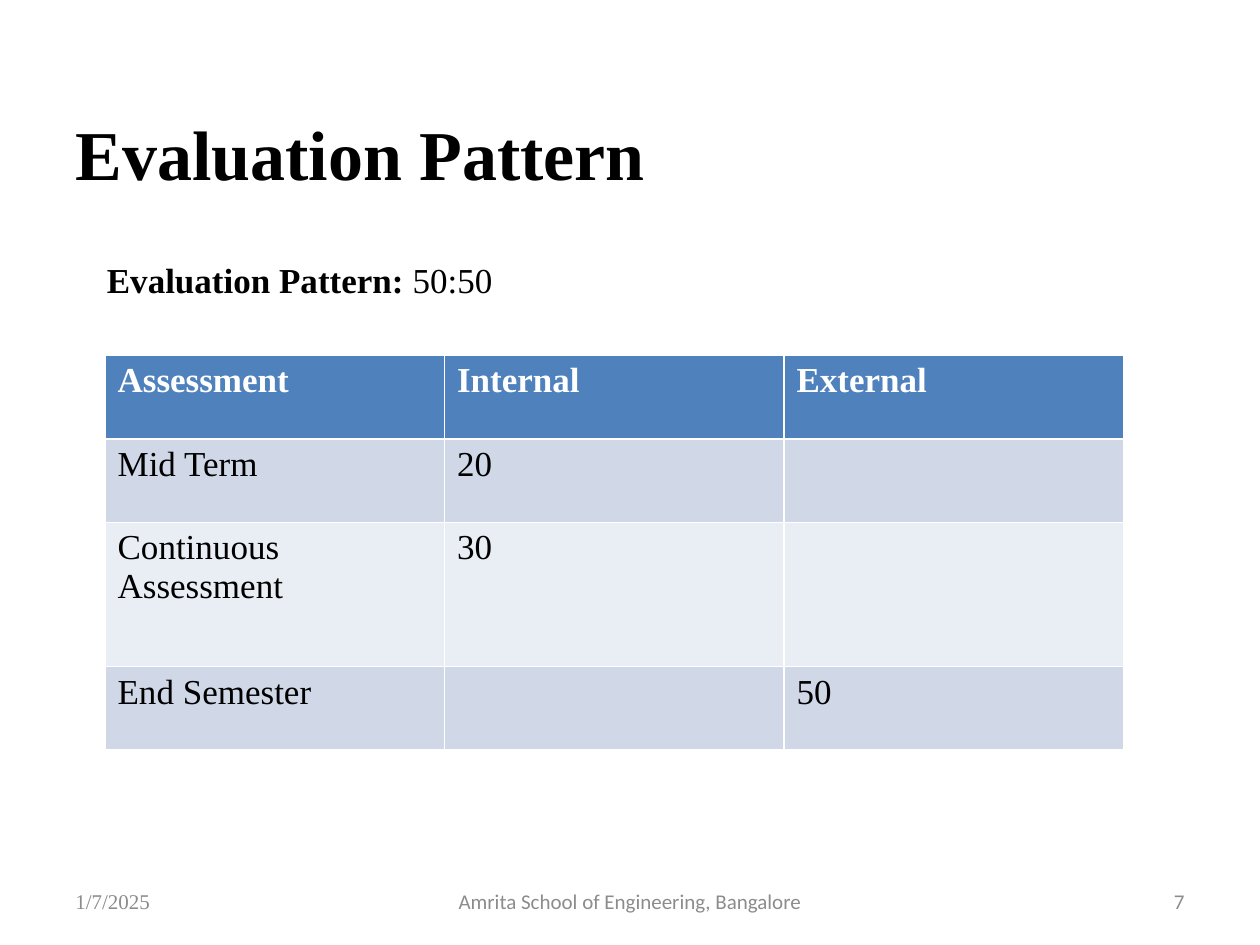
from pptx import Presentation
from pptx import util as u
from pptx.dml.color import RGBColor
from pptx.enum import text

BLACK = RGBColor(0x00, 0x00, 0x00)
WHITE = RGBColor(0xFF, 0xFF, 0xFF)
GRAY = RGBColor(0x8C, 0x8C, 0x8C)
BLUE = RGBColor(0x4F, 0x81, 0xBD)
BANDS = RGBColor(0xD0, 0xD8, 0xE8), RGBColor(0xE9, 0xED, 0xF4)
SERIF, SANS = "Times New Roman", "Calibri"
LEFT, CENTER, RIGHT = (text.PP_ALIGN.LEFT, text.PP_ALIGN.CENTER,
                       text.PP_ALIGN.RIGHT)


def write(para, words, size=20, face=SERIF, color=BLACK, bold=False,
          align=LEFT):
    """Add one formatted run to a paragraph."""
    para.alignment = align
    run = para.add_run()
    run.text = words
    font = run.font
    font.size, font.name, font.bold = u.Pt(size), face, bold
    font.color.rgb = color


class Page:
    def __init__(self, deck):
        self.slide = deck.slides.add_slide(deck.slide_layouts[5])

    def title(self, words, left, top, width, height):
        shape = self.slide.shapes.title
        shape.left, shape.top = u.Pt(left), u.Pt(top)
        shape.width, shape.height = u.Pt(width), u.Pt(height)
        shape.text_frame.vertical_anchor = text.MSO_ANCHOR.MIDDLE
        write(shape.text_frame.paragraphs[0], words, size=40, bold=True)

    def label(self, left, top, width, height):
        """Add a wrapping text box and return its frame."""
        box = self.slide.shapes.add_textbox(
            u.Pt(left), u.Pt(top), u.Pt(width), u.Pt(height))
        box.text_frame.word_wrap = True
        return box.text_frame

    def footer(self, words, left, width, **form):
        frame = self.label(left, 500.5, width, 28.75)
        frame.vertical_anchor = text.MSO_ANCHOR.MIDDLE
        write(frame.paragraphs[0], words, size=12, color=GRAY, **form)

    def table(self, rows, heights, left, top, width):
        grid = self.slide.shapes.add_table(
            len(rows), len(rows[0]), u.Pt(left), u.Pt(top),
            u.Pt(width), u.Pt(sum(heights))).table
        for i, (row, height) in enumerate(zip(rows, heights)):
            head = i == 0
            grid.rows[i].height = u.Pt(height)
            for j, words in enumerate(row):
                cell = grid.cell(i, j)
                cell.fill.solid()
                cell.fill.fore_color.rgb = BLUE if head else BANDS[(i - 1) % 2]
                if words:
                    write(cell.text_frame.paragraphs[0], words, bold=head,
                          color=WHITE if head else BLACK)


def main():
    deck = Presentation()
    deck.slide_width, deck.slide_height = u.Pt(720), u.Pt(540)
    page = Page(deck)
    page.title("Evaluation Pattern", 36, 42, 648, 90)

    page.footer("1/7/2025", 36, 168)
    page.footer("Amrita School of Engineering, Bangalore", 246, 228,
                face=SANS, align=CENTER)
    page.footer("7", 516, 168, face=SANS, align=RIGHT)

    rows = [
        ("Assessment", "Internal", "External"),
        ("Mid Term", "20", ""),
        ("Continuous Assessment", "30", ""),
        ("End Semester", "", "50"),
    ]
    page.table(rows, (47.75, 47.75, 82.5, 47.75), 60, 203, 582)

    ratio = page.label(54, 144, 360, 31.5)
    ratio.auto_size = text.MSO_AUTO_SIZE.SHAPE_TO_FIT_TEXT
    write(ratio.paragraphs[0], "Evaluation Pattern: ", bold=True)
    write(ratio.paragraphs[0], "50:50")
    deck.save("out.pptx")


if __name__ == "__main__":
    main()
